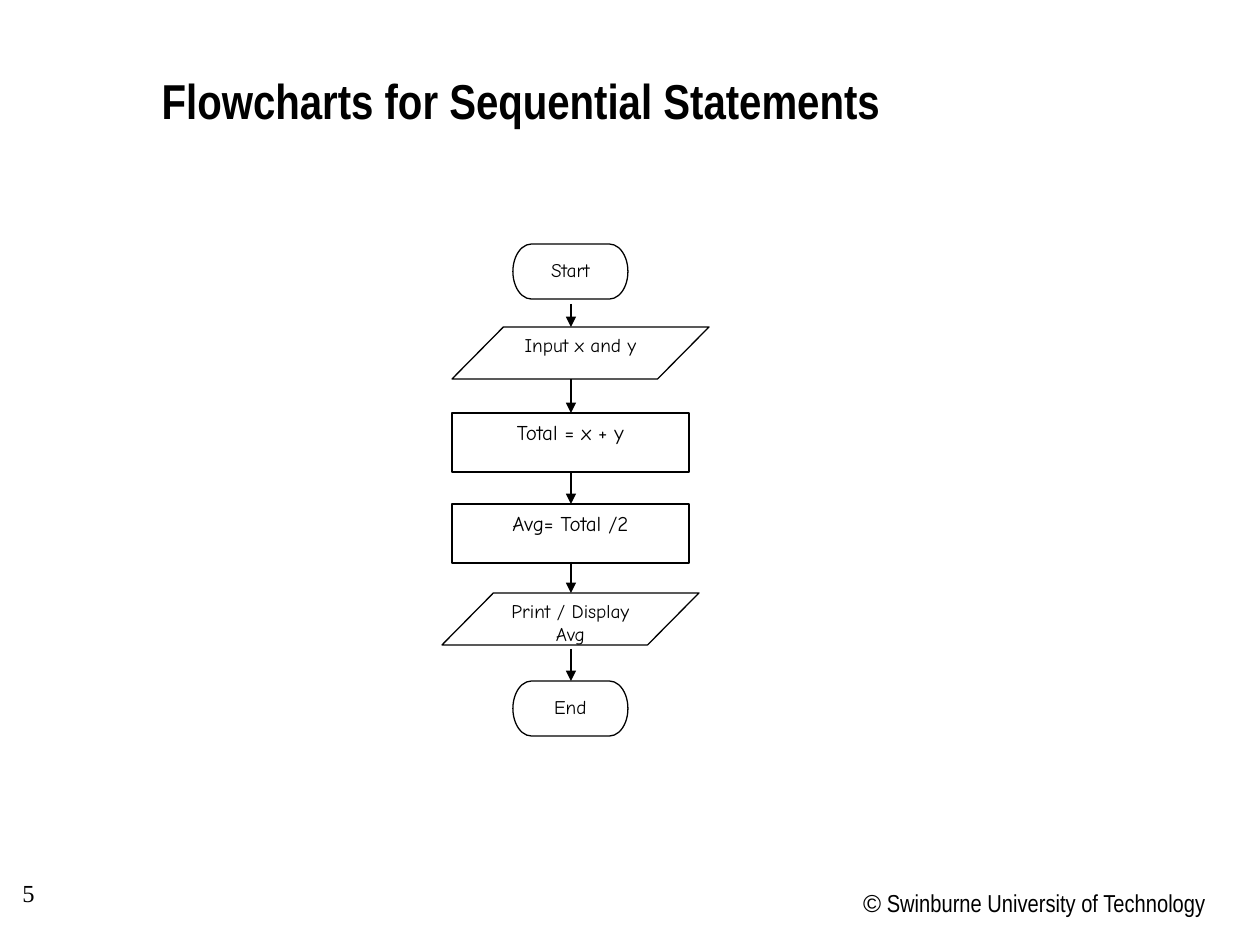
import pptx
import pptx.dml.color
import pptx.enum.shapes
import pptx.enum.text
import pptx.oxml
import pptx.oxml.ns
import pptx.util

PX = 914400 / 126
BLACK = pptx.dml.color.RGBColor(0x00, 0x00, 0x00)
WHITE = pptx.dml.color.RGBColor(0xFF, 0xFF, 0xFF)
ALIGN = pptx.enum.text.PP_ALIGN
ANCHOR = pptx.enum.text.MSO_ANCHOR
SHAPE = pptx.enum.shapes.MSO_SHAPE
TERMINATOR = SHAPE.FLOWCHART_TERMINATOR
DATA = SHAPE.FLOWCHART_DATA
PROCESS = SHAPE.FLOWCHART_PROCESS
CENTER_X = 571

STEPS = [
    (TERMINATOR, 513, 244, 115, 55, "Start", 11),
    (DATA, 452, 327, 257, 52, "Input x and y", 11),
    (PROCESS, 452, 413, 237, 59, "Total = x + y", 12),
    (PROCESS, 452, 504, 237, 59, "Avg= Total /2", 12),
    (DATA, 442, 593, 257, 52, "Print / Display Avg", 11),
    (TERMINATOR, 513, 681, 115, 55, "End", 11),
]
ARROWS = [(304, 327), (379, 413), (473, 504), (562, 593), (649, 681)]


def px(*values):
    return [pptx.util.Emu(round(v * PX)) for v in values]


def write(sp, runs, size, bold=False, align=ALIGN.LEFT, anchor=ANCHOR.TOP, wrap=True):
    tf = sp.text_frame
    tf.word_wrap = wrap
    tf.auto_size = pptx.enum.text.MSO_AUTO_SIZE.NONE
    tf.vertical_anchor = anchor
    p = tf.paragraphs[0]
    p.alignment = align
    for text, font in runs:
        r = p.add_run()
        r.text = text
        r.font.name = font
        r.font.size = pptx.util.Pt(size)
        r.font.bold = bold
        r.font.color.rgb = BLACK


def add_title(s, text):
    sp = s.shapes.title
    sp.left, sp.top, sp.width, sp.height = px(149, 63, 964, 74)
    write(sp, [(text, "Arial Narrow")], 28, bold=True, anchor=ANCHOR.MIDDLE)


def add_text(s, box, runs, size, **fmt):
    write(s.shapes.add_textbox(*px(*box)), runs, size, **fmt)


def add_step(s, kind, x, y, w, h, text, size):
    sp = s.shapes.add_shape(kind, *px(x, y, w, h))
    sp.shadow.inherit = False
    sp.fill.solid()
    sp.fill.fore_color.rgb = WHITE
    sp.line.color.rgb = BLACK
    sp.line.width = pptx.util.Pt(0.75)
    write(sp, [(text, "Comic Neue")], size, align=ALIGN.CENTER)


def add_arrow(s, top, bottom):
    straight = pptx.enum.shapes.MSO_CONNECTOR.STRAIGHT
    sp = s.shapes.add_connector(straight, *px(CENTER_X, top, CENTER_X, bottom))
    sp.line.color.rgb = BLACK
    sp.line.width = pptx.util.Pt(0.75)
    qn = pptx.oxml.ns.qn
    ln = sp.line._get_or_add_ln()
    ln.append(ln.makeelement(qn("a:tailEnd"), {"type": "triangle"}))
    sp_pr = ln.getparent()
    sp_pr.append(sp_pr.makeelement(qn("a:effectLst"), {}))


def main():
    prs = pptx.Presentation()
    prs.slide_width, prs.slide_height = px(1260, 945)
    s = prs.slides.add_slide(prs.slide_layouts[5])
    add_title(s, "Flowcharts for Sequential Statements")
    for step in STEPS:
        add_step(s, *step)
    for top, bottom in ARROWS:
        add_arrow(s, top, bottom)
    add_text(s, (10, 872, 262, 63), [("5", "Times New Roman")], 14)
    credit = [("©", "Arial"), (" Swinburne University of Technology", "Arial Narrow")]
    add_text(s, (848, 882, 370, 43), credit, 14, align=ALIGN.RIGHT, wrap=False)
    prs.save("out.pptx")


if __name__ == "__main__":
    main()
